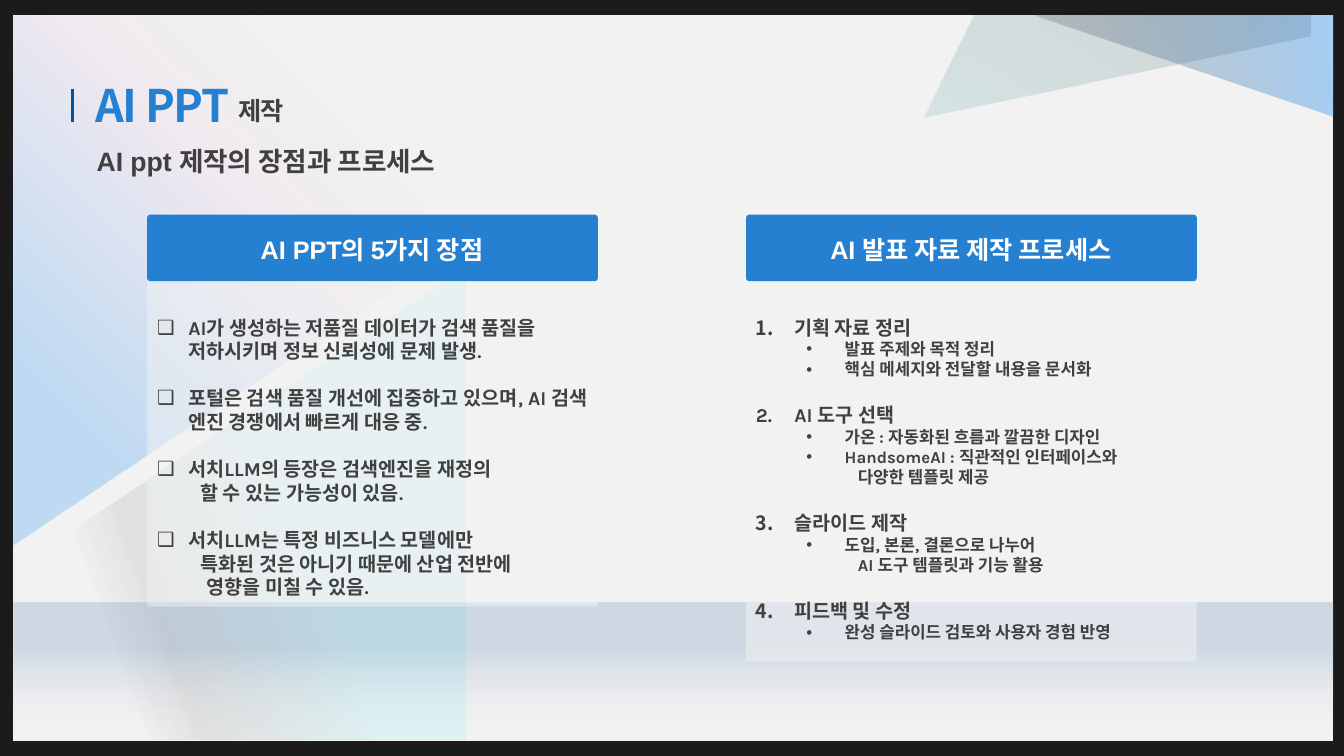
"""Builds the slide on the advantages and process of making slides with AI."""
from lxml import etree
from pptx import Presentation, util as u
from pptx.dml.color import RGBColor
from pptx.enum import shapes, text
from pptx.oxml import ns

PX = 9144
DARK = RGBColor(0x1B, 0x1B, 0x1B)
PAPER = RGBColor(0xF2, 0xF2, 0xF2)
BLUE = RGBColor(0x26, 0x80, 0xD2)
NAVY = RGBColor(0x03, 0x53, 0x9B)
INK = RGBColor(0x40, 0x40, 0x40)
WHITE = RGBColor(0xFF, 0xFF, 0xFF)
CYAN = RGBColor(0x05, 0xDB, 0xF2)
TEAL = RGBColor(0x05, 0x7F, 0x8D)
SKY = RGBColor(0x05, 0x83, 0xF2)
PINK = RGBColor(0xF2, 0xCF, 0xEE)
STEEL = RGBColor(0x49, 0x7E, 0xAF)
SILVER = RGBColor(0xD1, 0xD1, 0xD1)
MIST = RGBColor(0xD9, 0xD9, 0xD9)
BLACK = RGBColor(0x0D, 0x0D, 0x0D)
KOREAN = "Noto Sans CJK KR"


def paint(shape, stops, angle=0):
    """Fill a shape with a gradient of (position, colour, opacity) stops."""
    shape.shadow.inherit = False
    shape.line.fill.background()
    shape.fill.gradient()
    shape.fill.gradient_angle = 0
    gradient = shape._element.spPr.find(ns.qn("a:gradFill"))
    gradient.find(ns.qn("a:lin")).set("ang", str(angle * 60000))
    stop_list = gradient.find(ns.qn("a:gsLst"))
    for child in list(stop_list):
        stop_list.remove(child)
    for position, color, opacity in stops:
        stop = etree.SubElement(stop_list, ns.qn("a:gs"), pos=str(position * 1000))
        rgb = etree.SubElement(stop, ns.qn("a:srgbClr"), val=str(color))
        etree.SubElement(rgb, ns.qn("a:alpha"), val=str(opacity * 1000))


def write(paragraph, words, font, size, color, spacing=0):
    """Add one bold run to a paragraph."""
    run = paragraph.add_run()
    run.text = words
    for name, value in {"name": font, "size": u.Pt(size), "bold": True}.items():
        setattr(run.font, name, value)
    run.font.color.rgb = color
    properties = run._r.get_or_add_rPr()
    etree.SubElement(properties, ns.qn("a:ea"), typeface=KOREAN)
    if spacing:
        properties.set("spc", str(spacing))


presentation = Presentation()
presentation.slide_width, presentation.slide_height = 1333 * PX, 750 * PX
slide = presentation.slides.add_slide(presentation.slide_layouts[6])
slide.background.fill.solid()
slide.background.fill.fore_color.rgb = DARK

paper = slide.shapes.add_shape(
    shapes.MSO_SHAPE.RECTANGLE, 13 * PX, 15 * PX, 1309 * PX, 720 * PX)
paper.shadow.inherit = False
paper.fill.solid()
paper.fill.fore_color.rgb = PAPER
paper.line.fill.background()

facets = [
    ([(462, 265), (53, 538), (53, 734), (462, 734)], 160,
     [(45, CYAN, 8), (74, BLACK, 7), (84, BLACK, 0)]),
    ([(420, 16), (13, 16), (13, 540), (420, 267)], 135,
     [(17, MIST, 0), (38, PINK, 22), (80, SKY, 21)]),
    ([(1300, 15), (966, 15), (916, 117), (1300, 36)], 300,
     [(0, TEAL, 13), (100, BLACK, 14)]),
    ([(1322, 15), (1029, 15), (1028, 16), (1322, 116)], 170,
     [(4, SKY, 32), (100, BLACK, 15)]),
    ([(13, 598), (1322, 598), (1322, 734), (13, 734)], 90,
     [(33, STEEL, 21), (91, SILVER, 0)]),
]
for points, angle, stops in facets:
    builder = slide.shapes.build_freeform(*points[0], scale=PX)
    builder.add_line_segments(points[1:], close=True)
    paint(builder.convert_to_shape(), stops, angle)

bar = slide.shapes.add_connector(
    shapes.MSO_CONNECTOR.STRAIGHT, 72 * PX, 88 * PX, 72 * PX, 121 * PX)
bar.line.color.rgb = NAVY
bar.line.width = u.Pt(2)
etree.SubElement(bar._element.spPr, ns.qn("a:effectLst"))

ADVANTAGES = [
    ("❑", "AI가 생성하는 저품질 데이터가 검색 품질을 저하시키며 정보 신뢰성에 문제 발생.", 31),
    ("❑", "포털은 검색 품질 개선에 집중하고 있으며, AI 검색 엔진 경쟁에서 빠르게 대응 중.", 31),
    ("❑", "서치LLM의 등장은 검색엔진을 재정의", 31),
    ("", "할 수 있는 가능성이 있음.", 43),
    ("❑", "서치LLM는 특정 비즈니스 모델에만", 31),
    ("", "특화된 것은 아니기 때문에 산업 전반에", 43),
    ("", "영향을 미칠 수 있음.", 49),
]
PROCESS = [
    ("1", "기획 자료 정리", 38),
    ("•", "발표 주제와 목적 정리", 88),
    ("•", "핵심 메세지와 전달할 내용을 문서화", 88),
    ("2", "AI 도구 선택", 38),
    ("•", "가온 : 자동화된 흐름과 깔끔한 디자인", 88),
    ("•", "HandsomeAI : 직관적인 인터페이스와", 88),
    ("", "다양한 템플릿 제공", 101),
    ("3", "슬라이드 제작", 38),
    ("•", "도입, 본론, 결론으로 나누어", 88),
    ("", "AI 도구 템플릿과 기능 활용", 101),
    ("4", "피드백 및 수정", 38),
    ("•", "완성 슬라이드 검토와 사용자 경험 반영", 88),
]
panels = [(146, 323, "AI PPT의 5가지 장점", ADVANTAGES),
          (740, 377, "AI 발표 자료 제작 프로세스", PROCESS)]
labels = [
    (85, 83, 159, 53, "AI PPT", KOREAN, 32, BLUE, "title"),
    (227, 77, 164, 53, "제작", KOREAN, 18, INK, "title"),
    (86, 139, 663, 42, "AI ppt 제작의 장점과 프로세스", "Arial", 19, INK, "plain"),
]

for left, height, heading, items in panels:
    body = slide.shapes.add_shape(
        shapes.MSO_SHAPE.RECTANGLE, left * PX, 279 * PX, 447 * PX, height * PX)
    paint(body, [(0, PAPER, 50), (100, PAPER, 50)])
    frame = body.text_frame
    for name, value in {"word_wrap": True, "margin_top": 34 * PX,
                        "vertical_anchor": text.MSO_ANCHOR.TOP}.items():
        setattr(frame, name, value)
    for index, (marker, words, indent) in enumerate(items):
        paragraph = frame.add_paragraph() if index else frame.paragraphs[0]
        paragraph.alignment = text.PP_ALIGN.LEFT
        nested = indent > 80
        paragraph.level = int(nested)
        properties = paragraph._p.get_or_add_pPr()
        hanging = min(indent, 38) if marker else 0
        properties.set("marL", str(indent * PX))
        properties.set("indent", str(-hanging * PX))
        if marker.isdigit():
            etree.SubElement(properties, ns.qn("a:buFont"), typeface="+mj-lt")
            etree.SubElement(properties, ns.qn("a:buAutoNum"),
                             type="arabicPeriod", startAt=marker)
        elif marker:
            etree.SubElement(properties, ns.qn("a:buFont"), typeface="Arial")
            etree.SubElement(properties, ns.qn("a:buChar"), char=marker)
        else:
            etree.SubElement(properties, ns.qn("a:buNone"))
        if index and marker and not nested:
            paragraph.space_before = u.Pt(17)
        write(paragraph, words, "Karla", 12 if nested else 14, INK)

    banner = slide.shapes.add_shape(
        shapes.MSO_SHAPE.ROUNDED_RECTANGLE, left * PX, 213 * PX, 447 * PX, 66 * PX)
    banner.adjustments[0] = 0.05
    banner.shadow.inherit = False
    banner.fill.solid()
    banner.fill.fore_color.rgb = BLUE
    banner.line.fill.background()
    labels.append((left + 45, 228, 356, 40, heading, "Arial", 18, WHITE, "banner"))

for left, top, width, height, words, font, size, color, role in labels:
    box = slide.shapes.add_textbox(left * PX, top * PX, width * PX, height * PX)
    box.text_frame.word_wrap = True
    paragraph = box.text_frame.paragraphs[0]
    if role == "title":
        box.text_frame.vertical_anchor = text.MSO_ANCHOR.BOTTOM
        paragraph.line_spacing = 0.9
    elif role == "banner":
        paragraph.alignment = text.PP_ALIGN.CENTER
    write(paragraph, words, font, size, color, -100 if role == "title" else 0)

presentation.save("out.pptx")
